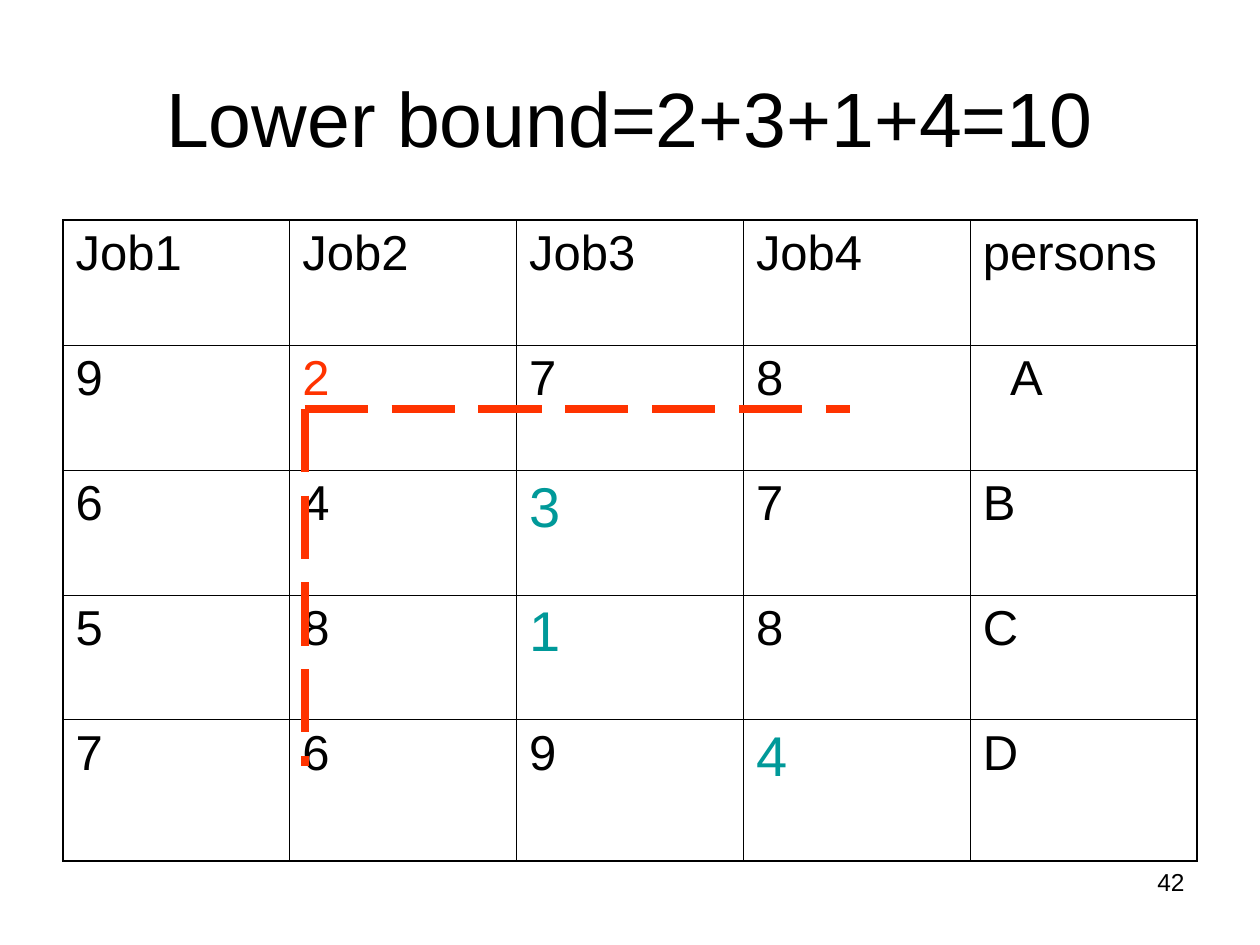
import pptx
import pptx.util
import pptx.dml.color
import pptx.enum.dml
import pptx.enum.shapes
import pptx.enum.text
import pptx.oxml
import pptx.oxml.ns

SCALE = 914400 / 126  # EMU per px
HUES = {"ink": "000000", "red": "FF3300", "teal": "009999", "page": "FFFFFF"}
ALIGN = pptx.enum.text.PP_ALIGN
ANCHOR = pptx.enum.text.MSO_ANCHOR

HEADS = ["Job1", "Job2", "Job3", "Job4", "persons"]
COSTS = [
    ["9", "2", "7", "8", "A"],
    ["6", "4", "3", "7", "B"],
    ["5", "8", "1", "8", "C"],
    ["7", "6", "9", "4", "D"],
]
# Cells (row, column) that stand out
MARKS = {(1, 1): ("red", 28), (2, 2): ("teal", 32),
         (3, 2): ("teal", 32), (4, 3): ("teal", 32)}


def px(*nums):
    return [pptx.util.Emu(round(num * SCALE)) for num in nums]


def tint(name):
    return pptx.dml.color.RGBColor.from_string(HUES[name])


def apply(item, form):
    for key, value in form.items():
        setattr(item, key, value)


def write(frame, text, size, hue="ink", align=ALIGN.LEFT):
    frame.word_wrap = True
    para = frame.paragraphs[0]
    para.alignment = align
    run = para.add_run()
    run.text = text
    apply(run.font, {"name": "Arial", "size": pptx.util.Pt(size)})
    run.font.color.rgb = tint(hue)


def place(shape, *box):
    apply(shape, dict(zip(("left", "top", "width", "height"), px(*box))))


def edge(cell, side, width):
    line = pptx.oxml.parse_xml(
        f'<a:{side} {pptx.oxml.ns.nsdecls("a")} w="{pptx.util.Pt(width)}">'
        f'<a:solidFill><a:srgbClr val="{HUES["ink"]}"/></a:solidFill></a:{side}>')
    cell._tc.get_or_add_tcPr().append(line)


def grid(slide, rows, *box):
    count, span = len(rows), len(rows[0])
    table = slide.shapes.add_table(count, span, *px(*box)).table
    apply(table, {"first_row": False, "horz_banding": False})
    tall = 125
    for r, row in enumerate(rows):
        last = r == count - 1
        table.rows[r].height = px(box[3] - tall * r if last else tall)[0]
        for c, text in enumerate(row):
            cell = table.cell(r, c)
            hue, size = MARKS.get((r, c), ("ink", 28))
            write(cell.text_frame, text, size, hue)
            # Outer edges are heavier than inner ones
            outer = {"lnL": c == 0, "lnR": c == span - 1,
                     "lnT": r == 0, "lnB": last}
            for side, heavy in outer.items():
                edge(cell, side, 1.08 if heavy else 0.45)
            cell.fill.solid()
            cell.fill.fore_color.rgb = tint("page")
    return table


def dash(slide, *ends):
    line = slide.shapes.add_connector(
        pptx.enum.shapes.MSO_CONNECTOR.STRAIGHT, *px(*ends))
    line.line.color.rgb = tint("red")
    apply(line.line, {"width": pptx.util.Pt(4.5),
                      "dash_style": pptx.enum.dml.MSO_LINE.LONG_DASH})
    line._element.spPr.append(pptx.oxml.parse_xml(
        f'<a:effectLst {pptx.oxml.ns.nsdecls("a")}/>'))


def main():
    deck = pptx.Presentation()
    apply(deck, dict(zip(("slide_width", "slide_height"), px(1260, 945))))
    slide = deck.slides.add_slide(deck.slide_layouts[5])

    # Title
    title = slide.shapes.title
    place(title, 63, 38, 1134, 158)
    apply(title.text_frame, {"vertical_anchor": ANCHOR.MIDDLE,
                             "auto_size": pptx.enum.text.MSO_AUTO_SIZE.NONE})
    write(title.text_frame, "Lower bound=2+3+1+4=10", 44, align=ALIGN.CENTER)

    # Cost table, with the first person indented
    table = grid(slide, [HEADS] + COSTS, 63, 220, 1134, 641)
    table.cell(1, 4).margin_left = px(40)[0]

    # Dashed lines striking out the row of A and the column of Job2
    left, top = 305, 409
    dash(slide, left, top, 850, top)
    dash(slide, left, top, left, 766)

    # Page number
    page = slide.shapes.add_textbox(*px(903, 861, 294, 65))
    write(page.text_frame, "42", 14, align=ALIGN.RIGHT)

    deck.save("out.pptx")


if __name__ == "__main__":
    main()
